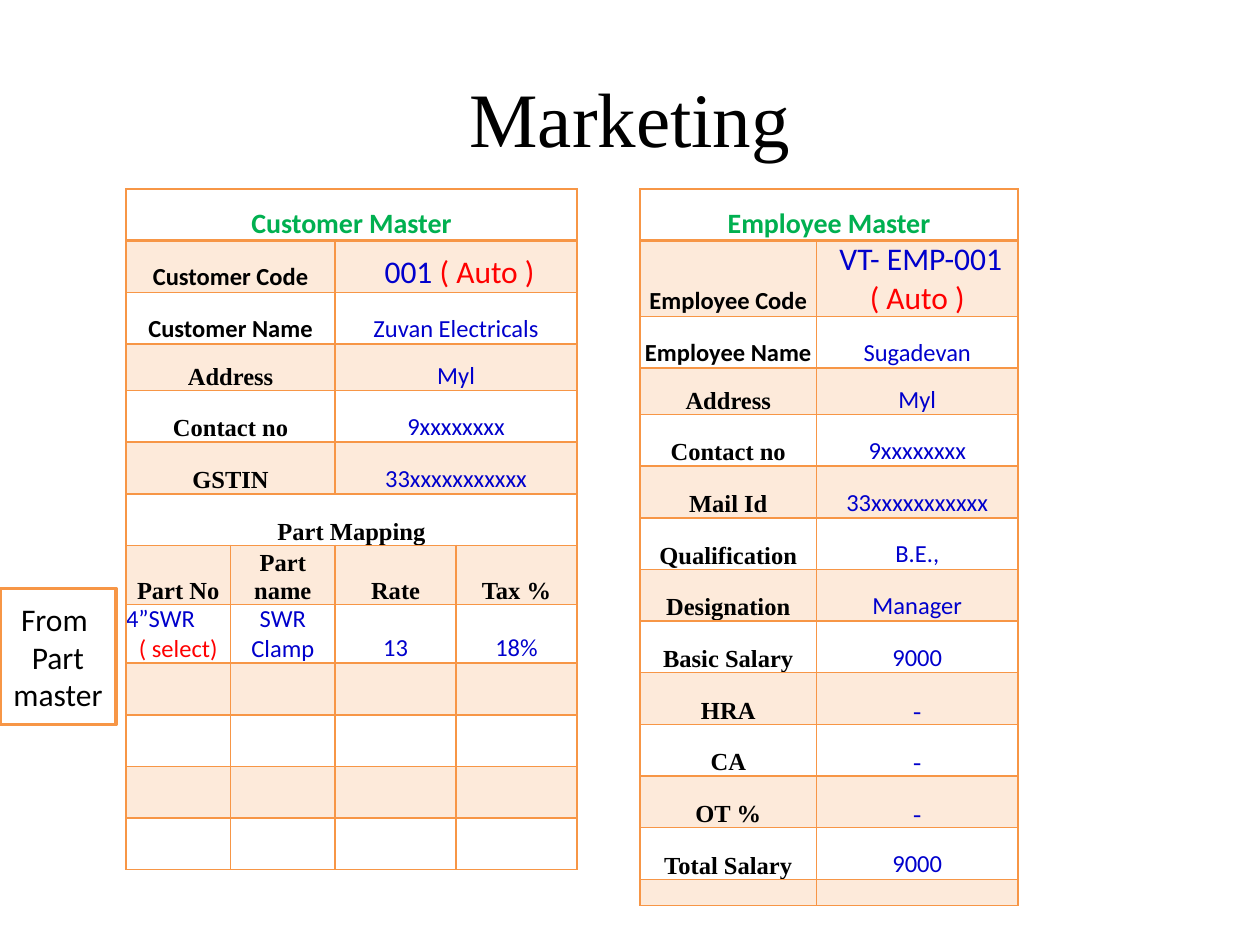
"""Build the Marketing slide with its customer and employee master tables."""
from lxml import etree
from pptx import Presentation
from pptx.dml.color import RGBColor
from pptx.enum.shapes import MSO_SHAPE
from pptx.enum.text import MSO_ANCHOR, PP_ALIGN
from pptx.oxml.ns import qn
from pptx.util import Inches, Pt

RECT = MSO_SHAPE.RECTANGLE
BOTTOM, MIDDLE = MSO_ANCHOR.BOTTOM, MSO_ANCHOR.MIDDLE
CENTER, LEFT = PP_ALIGN.CENTER, PP_ALIGN.LEFT
COLORS = {"black": "000000", "white": "FFFFFF", "orange": "F79646",
          "green": "00B050", "blue": "0000CC", "red": "FF0000"}
SANS, SERIF = "Calibri", "Times New Roman"
STYLES = {
    "title": (44, SERIF, "black", False),
    "head": (16, SANS, "green", True),
    "name": (14, SANS, "black", True),
    "label": (14, SERIF, "black", True),
    "value": (14, SANS, "blue", False),
    "dash": (14, SERIF, "blue", False),
    "pick": (14, SANS, "red", False),
    "code": (18, SANS, "blue", False),
    "auto": (18, SANS, "red", False),
    "note": (18, SANS, "black", False),
}
ROW, SHORT_ROW, LAST_ROW = 0.41, 0.37, 0.21
TOP = 1.5


def write(tf, lines):
    for i, (align, runs) in enumerate(lines):
        p = tf.paragraphs[0] if i == 0 else tf.add_paragraph()
        p.alignment = align
        for style, text in runs:
            r = p.add_run()
            r.text = text
            size, r.font.name, color, r.font.bold = STYLES[style]
            r.font.size = Pt(size)
            r.font.color.rgb = RGBColor.from_string(COLORS[color])


def add_master(left, cols, heights, rows):
    count = len(cols)
    tbl = s.shapes.add_table(len(rows), count, Inches(left), Inches(TOP),
                             Inches(sum(cols)), Inches(sum(heights))).table
    tbl.first_row = tbl.horz_banding = False
    for col, width in zip(tbl.columns, cols):
        col.width = Inches(width)
    for i, row in enumerate(rows):
        tbl.rows[i].height = Inches(heights[i])
        for j in range(count):
            cell = tbl.cell(i, j)
            cell.margin_left = cell.margin_right = 0
            cell.margin_top = cell.margin_bottom = 0
            cell.vertical_anchor = BOTTOM
            tcPr = cell._tc.get_or_add_tcPr()
            for side in ("lnL", "lnR", "lnT", "lnB"):
                heavy = (i, side) in ((0, "lnB"), (1, "lnT"))
                ln = etree.SubElement(tcPr, qn(f"a:{side}"), w=str(Pt(2 if heavy else 1)))
                fill = etree.SubElement(ln, qn("a:solidFill"))
                etree.SubElement(fill, qn("a:srgbClr"), val=COLORS["orange"])
            if i % 2:
                cell.fill.solid()
                cell.fill.fore_color.rgb = RGBColor.from_string(COLORS["orange"])
                clr = tcPr.find(f"{qn('a:solidFill')}/{qn('a:srgbClr')}")
                etree.SubElement(clr, qn("a:alpha"), val="20000")
            else:
                cell.fill.background()
        span = count // len(row)
        for k, lines in enumerate(row):
            cell = tbl.cell(i, k * span)
            if span > 1:
                cell.merge(tbl.cell(i, (k + 1) * span - 1))
            write(cell.text_frame, lines)
            if not lines:
                end = cell.text_frame.paragraphs[0]._p.get_or_add_endParaRPr()
                end.set("sz", "1200")


prs = Presentation()
prs.slide_width, prs.slide_height = Inches(10), Inches(7.5)
W, H = prs.slide_width, prs.slide_height
s = prs.slides.add_slide(prs.slide_layouts[6])

tf = s.shapes.add_textbox(int(W * 0.05), int(H * 0.04), int(W * 0.9), H // 6).text_frame
tf.word_wrap = True
tf.vertical_anchor = MIDDLE
write(tf, [(CENTER, [("title", "Marketing")])])

customer = [
    [[("head", "Customer Master")]],
    [[("name", "Customer Code")], [("code", " 001 "), ("auto", "( Auto )")]],
    [[("name", "Customer Name")], [("value", "Zuvan Electricals")]],
    [[("label", "Address")], [("value", "Myl")]],
    [[("label", "Contact no")], [("value", "9xxxxxxxx")]],
    [[("label", "GSTIN")], [("value", "33xxxxxxxxxxx")]],
    [[("label", "Part Mapping")]],
    [[("label", t)] for t in ("Part No", "Part name", "Rate", "Tax %")],
]
employee = [
    [[("head", "Employee Master")]],
    [[("name", "Employee Code")], [("code", " VT- EMP-001 "), ("auto", "( Auto )")]],
    [[("name", "Employee Name")], [("value", "Sugadevan")]],
]
for label, value in (("Address", "Myl"), ("Contact no", "9xxxxxxxx"),
                     ("Mail Id", "33xxxxxxxxxxx"), ("Qualification", "B.E.,"),
                     ("Designation", "Manager"), ("Basic Salary", "9000"),
                     ("HRA", "-"), ("CA", "-"), ("OT %", "-"), ("Total Salary", "9000")):
    employee.append([[("label", label)], [("dash" if value == "-" else "value", value)]])

customer, employee = [[[[(CENTER, runs)] for runs in row] for row in rows]
                      for rows in (customer, employee)]
part = [[(LEFT, [("value", "4”SWR")]), (CENTER, [("pick", "( select)")])]]
part += [[(CENTER, [("value", t)])] for t in ("SWR Clamp", "13", "18%")]
customer += [part] + [[[]] * 4] * 4
employee.append([[], []])

heights = [ROW] * 3 + [SHORT_ROW] + [ROW] * 9
add_master(1, [0.83, 0.83, 0.96, 0.96], heights, customer)
add_master(5.08, [1.4, 1.6], heights + [LAST_ROW], employee)

sp = s.shapes.add_shape(RECT, 0, Inches(4.67), Inches(0.92), Inches(1.08))
sp.shadow.inherit = False
sp.fill.solid()
sp.fill.fore_color.rgb = RGBColor.from_string(COLORS["white"])
sp.line.color.rgb = RGBColor.from_string(COLORS["orange"])
sp.line.width = Pt(2)
sp.text_frame.word_wrap = True
sp.text_frame.vertical_anchor = MIDDLE
write(sp.text_frame, [(CENTER, [("note", t)]) for t in ("From ", "Part", "master")])

prs.save("out.pptx")
